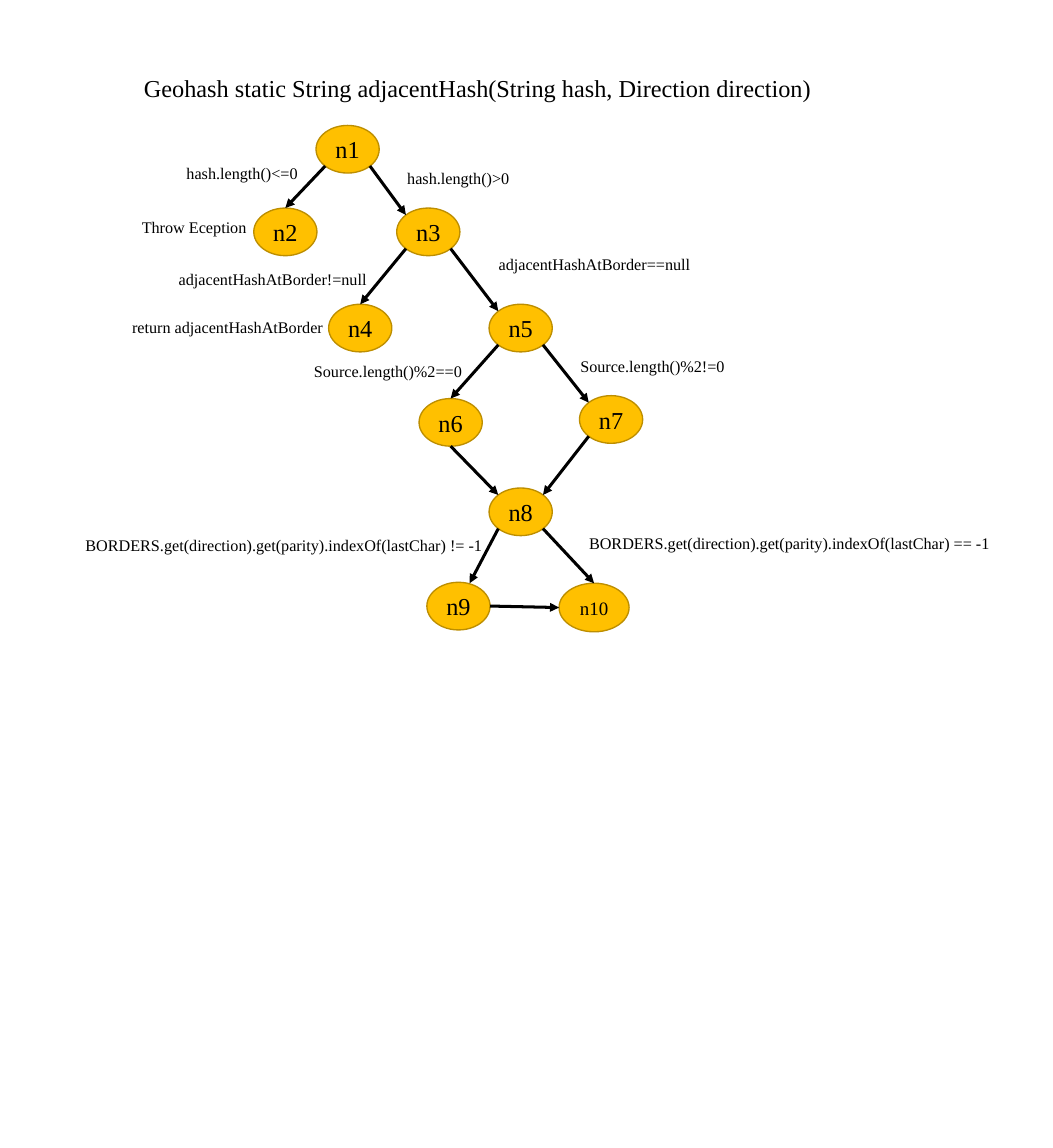
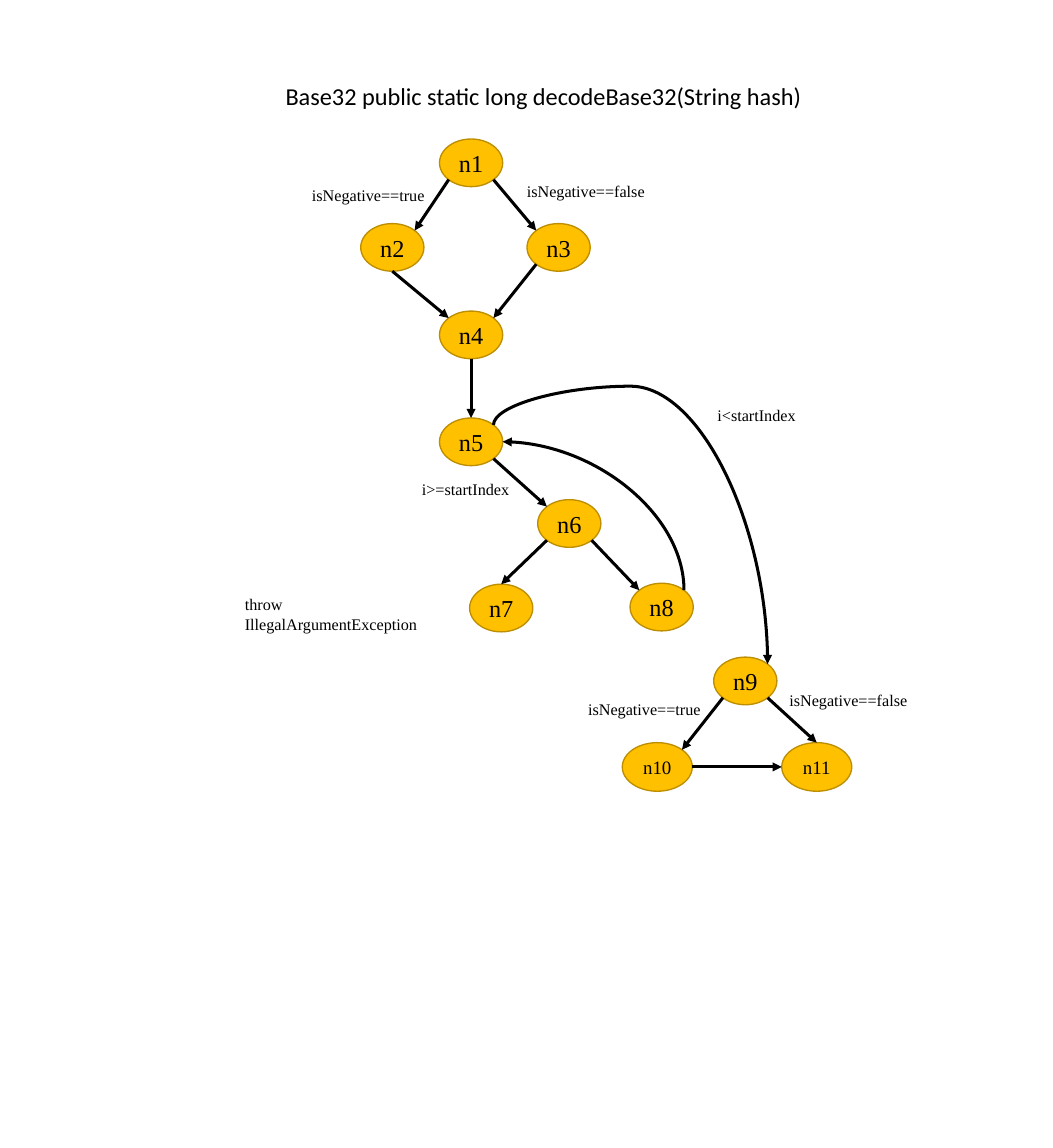
from dataclasses import dataclass
from math import sqrt
from typing import NamedTuple, Optional

from pptx import Presentation
from pptx import util as u
from pptx.dml.color import RGBColor
from pptx.enum import shapes, text
from pptx.oxml.ns import qn
from lxml import etree

BLACK, AMBER, OCHRE = "000000", "FFC000", "BD8E00"
SERIF, SANS = "Times New Roman", "Calibri"
LABEL_HEIGHT = 0.3
DIAGONAL = 1 / sqrt(2)

# Connection sites of an ellipse: number and direction from the centre
SITES = {
    "top": (0, 0, -1), "top left": (1, -DIAGONAL, -DIAGONAL),
    "left": (2, -1, 0), "bottom left": (3, -DIAGONAL, DIAGONAL),
    "bottom": (4, 0, 1), "bottom right": (5, DIAGONAL, DIAGONAL),
    "right": (6, 1, 0), "top right": (7, DIAGONAL, -DIAGONAL),
}


class Point(NamedTuple):
    x: float
    y: float


@dataclass
class Node:
    name: str
    left: float
    top: float

    @property
    def is_long(self) -> bool:
        return len(self.name) > 2

    @property
    def size(self) -> tuple[float, float]:
        return (0.72, 0.5) if self.is_long else (0.65, 0.49)

    def site(self, side: str) -> Point:
        width, height = self.size
        _, dx, dy = SITES[side]
        return Point(self.left + width / 2 * (1 + dx), self.top + height / 2 * (1 + dy))


class Edge(NamedTuple):
    start: str
    start_side: str
    end: str
    end_side: str
    tip: Optional[Point] = None  # free end point, not glued to a site


class Curve(NamedTuple):
    start: str
    start_side: str
    end: str
    end_side: str
    preset: str
    flip: str
    bend: Optional[int] = None


class Label(NamedTuple):
    words: str
    left: float
    top: float
    width: float


class Title(NamedTuple):
    words: str
    box: tuple[float, float, float, float]
    font: str
    align: text.PP_ALIGN
    anchor: text.MSO_ANCHOR


@dataclass
class Graph:
    title: Title
    nodes: list[Node]
    edges: list[Edge]
    labels: list[Label]
    curves: list[Curve]


def colour(value: str) -> RGBColor:
    return RGBColor.from_string(value)


def write(frame, words: str, *, size: float, font: str = SERIF, fill: str = BLACK,
          align=text.PP_ALIGN.LEFT, anchor=text.MSO_ANCHOR.TOP, wrap: bool = False,
          fit=text.MSO_AUTO_SIZE.NONE) -> None:
    frame.word_wrap = wrap
    frame.auto_size = fit
    frame.vertical_anchor = anchor
    para = frame.paragraphs[0]
    para.alignment = align
    span = para.add_run()
    span.text = words
    span.font.size = u.Pt(size)
    span.font.name = font
    span.font.color.rgb = colour(fill)


def draw_title(page, title: Title) -> None:
    box = page.shapes.title
    box.left, box.top, box.width, box.height = map(u.Inches, title.box)
    write(box.text_frame, title.words, size=18, font=title.font,
          align=title.align, anchor=title.anchor, wrap=True)


def draw_node(page, node: Node):
    oval = page.shapes.add_shape(shapes.MSO_SHAPE.OVAL,
                                 *map(u.Inches, (node.left, node.top, *node.size)))
    oval.shadow.inherit = False
    oval.fill.solid()
    oval.fill.fore_color.rgb = colour(AMBER)
    oval.line.color.rgb = colour(OCHRE)
    oval.line.width = u.Pt(1)
    frame = oval.text_frame
    frame.margin_left = frame.margin_right = frame.margin_top = frame.margin_bottom = 0
    write(frame, node.name, size=14 if node.is_long else 18,
          align=text.PP_ALIGN.CENTER, anchor=text.MSO_ANCHOR.MIDDLE)
    return oval


def draw_label(page, label: Label) -> None:
    box = page.shapes.add_textbox(
        *map(u.Inches, (label.left, label.top, label.width, LABEL_HEIGHT)))
    write(box.text_frame, label.words, size=12, fit=text.MSO_AUTO_SIZE.SHAPE_TO_FIT_TEXT)


def add_arrow(page, kind, start: Point, end: Point):
    arrow = page.shapes.add_connector(kind, *map(u.Inches, (*start, *end)))
    arrow.line.color.rgb = colour(BLACK)
    arrow.line.width = u.Pt(2.25)
    properties = arrow.element.find(qn("p:spPr"))
    etree.SubElement(properties.find(qn("a:ln")), qn("a:tailEnd"), type="triangle")
    etree.SubElement(properties, qn("a:effectLst"))
    return arrow


def glue(arrow, tag: str, oval, side: str) -> None:
    holder = arrow.element.find(".//" + qn("p:cNvCxnSpPr"))
    etree.SubElement(holder, qn(tag), id=str(oval.shape_id), idx=str(SITES[side][0]))


def draw_edge(page, edge: Edge, nodes: dict, ovals: dict) -> None:
    start = nodes[edge.start].site(edge.start_side)
    end = edge.tip or nodes[edge.end].site(edge.end_side)
    arrow = add_arrow(page, shapes.MSO_CONNECTOR.STRAIGHT, start, end)
    glue(arrow, "a:stCxn", ovals[edge.start], edge.start_side)
    if edge.tip is None:
        glue(arrow, "a:endCxn", ovals[edge.end], edge.end_side)


def draw_curve(page, curve: Curve, nodes: dict) -> None:
    start = nodes[curve.start].site(curve.start_side)
    end = nodes[curve.end].site(curve.end_side)
    # The box is turned a quarter, so its width spans the vertical distance
    middle = Point((start.x + end.x) / 2, (start.y + end.y) / 2)
    half_width, half_height = abs(end.y - start.y) / 2, abs(end.x - start.x) / 2
    arrow = add_arrow(page, shapes.MSO_CONNECTOR.CURVE,
                      Point(middle.x - half_width, middle.y - half_height),
                      Point(middle.x + half_width, middle.y + half_height))
    properties = arrow.element.find(qn("p:spPr"))
    frame = properties.find(qn("a:xfrm"))
    frame.set("rot", str(270 * 60000))
    frame.set(curve.flip, "1")
    outline = properties.find(qn("a:prstGeom"))
    outline.set("prst", curve.preset)
    if curve.bend is not None:
        etree.SubElement(outline.find(qn("a:avLst")), qn("a:gd"),
                         name="adj1", fmla=f"val {curve.bend}")


def draw_graph(deck, graph: Graph) -> None:
    page = deck.slides.add_slide(deck.slide_layouts[5])
    draw_title(page, graph.title)
    nodes = {node.name: node for node in graph.nodes}
    ovals = {node.name: draw_node(page, node) for node in graph.nodes}
    for edge in graph.edges:
        draw_edge(page, edge, nodes, ovals)
    for curve in graph.curves:
        draw_curve(page, curve, nodes)
    for label in graph.labels:
        draw_label(page, label)


# Control flow of adjacentHash
ADJACENT_HASH = Graph(
    title=Title("Geohash static String adjacentHash(String hash, Direction direction)",
                (1.38, 0.7, 8.6, 0.4), SERIF, text.PP_ALIGN.LEFT, text.MSO_ANCHOR.TOP),
    nodes=[
        Node("n1", 3.25, 1.29), Node("n2", 2.61, 2.14), Node("n3", 4.08, 2.14),
        Node("n4", 3.38, 3.13), Node("n5", 5.03, 3.13), Node("n6", 4.31, 4.1),
        Node("n7", 5.96, 4.07), Node("n8", 5.03, 5.02), Node("n9", 4.39, 5.99),
        Node("n10", 5.75, 6),
    ],
    edges=[
        Edge("n1", "bottom left", "n2", "top"),
        Edge("n1", "bottom right", "n3", "top left"),
        Edge("n3", "bottom left", "n4", "top"),
        Edge("n3", "bottom right", "n5", "top left"),
        Edge("n5", "bottom left", "n6", "top"),
        Edge("n5", "bottom right", "n7", "top left"),
        Edge("n6", "bottom", "n8", "top left"),
        Edge("n7", "bottom left", "n8", "top right"),
        Edge("n8", "bottom left", "n9", "top", tip=Point(4.83, 6)),
        Edge("n8", "bottom right", "n10", "top"),
        Edge("n9", "right", "n10", "left"),
    ],
    labels=[
        Label("hash.length()<=0", 1.82, 1.63, 1.36),
        Label("hash.length()>0", 4.09, 1.68, 1.27),
        Label("Throw Eception", 1.36, 2.19, 1.29),
        Label("adjacentHashAtBorder!=null", 1.74, 2.72, 2.16),
        Label("adjacentHashAtBorder==null", 5.03, 2.57, 2.2),
        Label("return adjacentHashAtBorder", 1.26, 3.22, 2.18),
        Label("Source.length()%2==0", 3.13, 3.67, 1.74),
        Label("Source.length()%2!=0", 5.87, 3.62, 1.74),
        Label("BORDERS.get(direction).get(parity).indexOf(lastChar) != -1", 0.78, 5.46, 4.34),
        Label("BORDERS.get(direction).get(parity).indexOf(lastChar) == -1", 5.96, 5.44, 4.34),
    ],
    curves=[],
)

# Control flow of decodeBase32
DECODE_BASE32 = Graph(
    title=Title("Base32 public static long decodeBase32(String hash)",
                (2.74, 0.79, 5.7, 0.4), SANS, text.PP_ALIGN.CENTER, text.MSO_ANCHOR.MIDDLE),
    nodes=[
        Node("n1", 4.52, 1.43), Node("n2", 3.71, 2.3), Node("n3", 5.42, 2.3),
        Node("n4", 4.52, 3.2), Node("n5", 4.52, 4.3), Node("n6", 5.53, 5.14),
        Node("n7", 4.83, 6.01), Node("n8", 6.48, 6), Node("n9", 7.34, 6.76),
        Node("n10", 6.4, 7.64), Node("n11", 8.04, 7.64),
    ],
    edges=[
        Edge("n1", "bottom left", "n2", "top right"),
        Edge("n1", "bottom right", "n3", "top left"),
        Edge("n2", "bottom", "n4", "top left"),
        Edge("n3", "bottom left", "n4", "top right"),
        Edge("n4", "bottom", "n5", "top"),
        Edge("n5", "bottom right", "n6", "top left"),
        Edge("n6", "bottom left", "n7", "top"),
        Edge("n6", "bottom right", "n8", "top left"),
        Edge("n9", "bottom left", "n10", "top right"),
        Edge("n9", "bottom right", "n11", "top"),
        Edge("n10", "right", "n11", "left"),
    ],
    labels=[
        Label("isNegative==true", 3.11, 1.86, 1.38),
        Label("isNegative==false", 5.32, 1.82, 1.43),
        Label("i<startIndex", 7.28, 4.12, 1.02),
        Label("i>=startIndex", 4.24, 4.88, 1.11),
        Label("throw IllegalArgumentException", 2.42, 6.07, 2.39),
        Label("isNegative==true", 5.95, 7.14, 1.38),
        Label("isNegative==false", 8.02, 7.05, 1.43),
    ],
    curves=[
        Curve("n5", "top right", "n9", "top right", "curvedConnector3", "flipH", bend=-16200),
        Curve("n8", "top right", "n5", "right", "curvedConnector2", "flipV"),
    ],
)


def main() -> None:
    deck = Presentation()
    deck.slide_width, deck.slide_height = u.Inches(10.83), u.Inches(11.81)
    for graph in (ADJACENT_HASH, DECODE_BASE32):
        draw_graph(deck, graph)
    deck.save("out.pptx")


if __name__ == "__main__":
    main()
